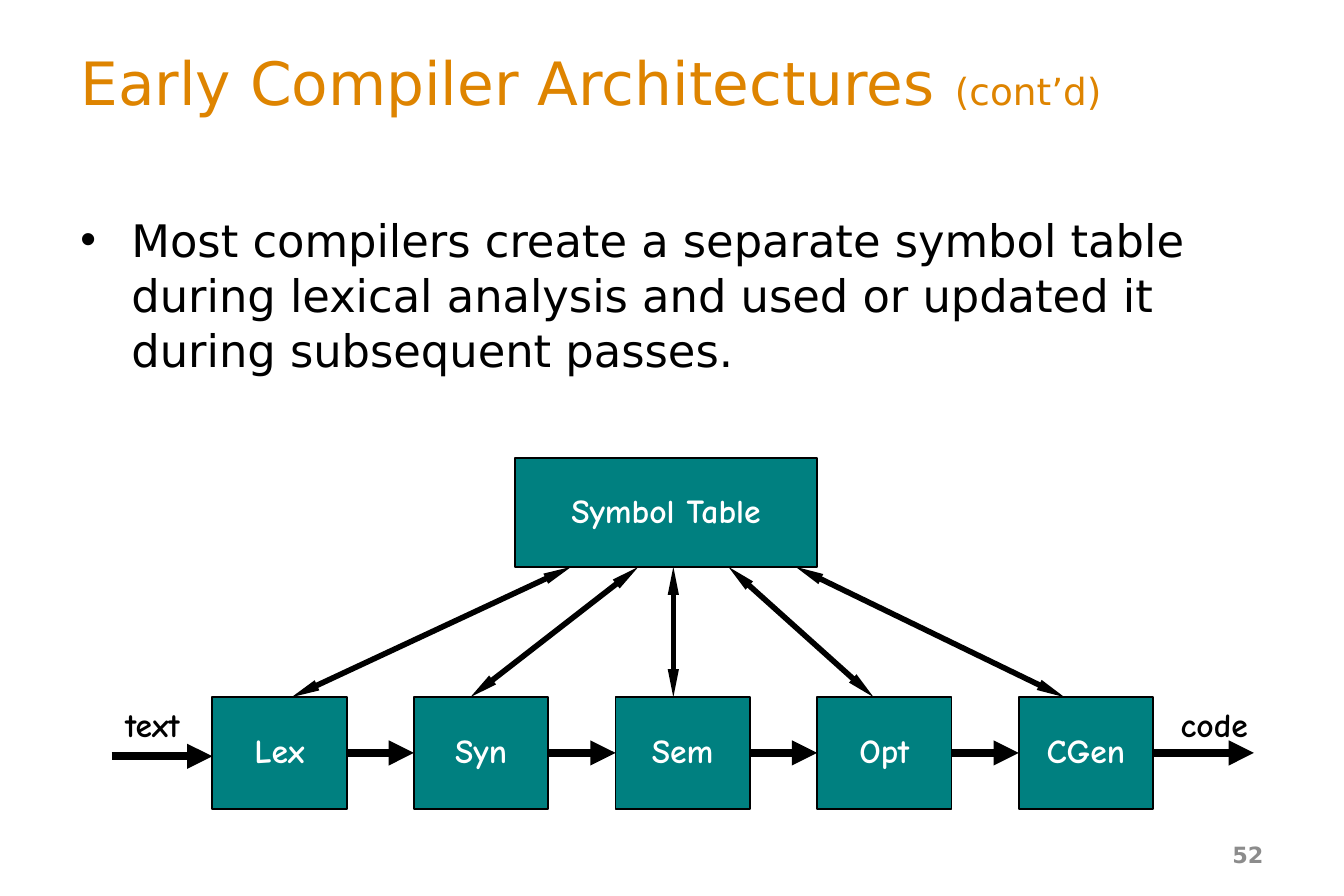
"""Build the slide on early compiler architectures with a shared symbol table."""
from lxml import etree
from pptx import Presentation
from pptx.dml.color import RGBColor
from pptx.enum.shapes import MSO_CONNECTOR, MSO_SHAPE
from pptx.enum.text import MSO_ANCHOR, PP_ALIGN
from pptx.oxml.ns import qn
from pptx.util import Inches, Pt

RECT = MSO_SHAPE.RECTANGLE
STRAIGHT = MSO_CONNECTOR.STRAIGHT
TOP, MIDDLE = MSO_ANCHOR.TOP, MSO_ANCHOR.MIDDLE
LEFT, CENTER, RIGHT = PP_ALIGN.LEFT, PP_ALIGN.CENTER, PP_ALIGN.RIGHT
SIDE_LEFT, SIDE_RIGHT = 1, 3

ORANGE = RGBColor(0xDE, 0x84, 0x00)
TEAL = RGBColor(0x00, 0x80, 0x80)
GRAY = RGBColor(0x8C, 0x8C, 0x8C)
BLACK = RGBColor(0x00, 0x00, 0x00)
WHITE = RGBColor(0xFF, 0xFF, 0xFF)
SANS, COMIC = "DejaVu Sans", "Comic Neue"

TITLE, TITLE_SUFFIX = "Early Compiler Architectures ", "(cont’d)"
BODY = ("Most compilers create a separate symbol table during lexical analysis "
        "and used or updated it during subsequent passes.")
PAGE = "52"
TABLE = "Symbol Table"
PHASES = ["Lex", "Syn", "Sem", "Opt", "CGen"]
LABELS = [("text", 0.77, 0.73), ("code", 8.66, 0.75)]
TABLE_LINKS = [(2.17, 4.25), (3.5, 4.75), (5.01, 5.01), (6.5, 5.42), (7.92, 5.92)]

PHASE_LEFT, PHASE_STEP, PHASE_TOP, PHASE_W, PHASE_H = 1.58, 1.5, 5.19, 1, 0.83
TABLE_TOP, TABLE_H = 3.41, 0.81
FLOW_Y, INPUT_Y, FLOW_LEN = PHASE_TOP + PHASE_H / 2, 5.63, 0.75


def style_run(r, size, font, color, bold=False):
    r.font.size, r.font.name, r.font.bold = Pt(size), font, bold
    r.font.color.rgb = color


def write(sp, text, size, font, color, align=LEFT, anchor=MIDDLE, bold=False, wrap=True):
    tf = sp.text_frame
    tf.word_wrap, tf.vertical_anchor = wrap, anchor
    p = tf.paragraphs[0]
    p.text, p.alignment = text, align
    style_run(p.runs[0], size, font, color, bold)
    return p


def add_text(s, box, *args, **kwargs):
    sp = s.shapes.add_textbox(*map(Inches, box))
    return sp, write(sp, *args, **kwargs)


def diagram_text(sp, text, color):
    p = write(sp, text, 18, COMIC, color, CENTER, bold=True, wrap=False)
    p.line_spacing = 0.9


def add_box(s, box, text):
    sp = s.shapes.add_shape(RECT, *map(Inches, box))
    sp.shadow.inherit = False
    sp.fill.solid()
    sp.fill.fore_color.rgb = TEAL
    sp.line.color.rgb, sp.line.width = BLACK, Pt(1)
    diagram_text(sp, text, WHITE)
    return sp


def add_arrow(s, start, end, width, ends=("tailEnd",), head_w="med", head_len="med"):
    c = s.shapes.add_connector(STRAIGHT, *map(Inches, start + end))
    c.line.color.rgb, c.line.width = BLACK, Pt(width)
    ln = c.line._get_or_add_ln()
    for tag in ends:
        etree.SubElement(ln, qn("a:" + tag), type="triangle", w=head_w, len=head_len)
    etree.SubElement(c._element.spPr, qn("a:effectLst"))
    return c


def add_body(s):
    sp, p = add_text(s, (0.5, 1.11, 9, 4.85), BODY, 24, SANS, BLACK, anchor=TOP)
    sp.text_frame.margin_top = Inches(0.46)
    p.space_before, p.line_spacing = Pt(4.8), 1.03
    pPr = p._p.get_or_add_pPr()
    pPr.set("marL", str(Inches(0.38)))
    pPr.set("indent", str(-Inches(0.38)))
    etree.SubElement(pPr, qn("a:buFont"), typeface="Arial")
    etree.SubElement(pPr, qn("a:buChar"), char="•")


def add_diagram(s):
    add_box(s, (3.83, TABLE_TOP, 2.25, TABLE_H), TABLE)
    boxes = [add_box(s, (PHASE_LEFT + i * PHASE_STEP, PHASE_TOP, PHASE_W, PHASE_H), name)
             for i, name in enumerate(PHASES)]
    for text, left, width in LABELS:
        sp = s.shapes.add_textbox(*map(Inches, (left, 5.22, width, 0.38)))
        diagram_text(sp, text, BLACK)

    add_arrow(s, (PHASE_LEFT - FLOW_LEN, INPUT_Y), (PHASE_LEFT, INPUT_Y), 4.5)
    for i, box in enumerate(boxes):
        right = PHASE_LEFT + i * PHASE_STEP + PHASE_W
        last = i == len(boxes) - 1
        end = right + (FLOW_LEN if last else PHASE_STEP - PHASE_W)
        c = add_arrow(s, (right, FLOW_Y), (end, FLOW_Y), 4.5)
        c.begin_connect(box, SIDE_RIGHT)
        if not last:
            c.end_connect(boxes[i + 1], SIDE_LEFT)
    for phase_x, table_x in TABLE_LINKS:
        add_arrow(s, (phase_x, PHASE_TOP), (table_x, TABLE_TOP + TABLE_H), 3,
                  ("headEnd", "tailEnd"), "sm", "lg")


def main():
    prs = Presentation()
    prs.slide_width, prs.slide_height = Inches(10), Inches(6.67)
    s = prs.slides.add_slide(prs.slide_layouts[6])
    _, p = add_text(s, (0.5, 0.27, 9, 0.68), TITLE, 32, SANS, ORANGE)
    r = p.add_run()
    r.text = TITLE_SUFFIX
    style_run(r, 20, SANS, ORANGE)
    add_body(s)
    add_diagram(s)
    add_text(s, (7.17, 6.18, 2.33, 0.36), PAGE, 12, SANS, GRAY, RIGHT, bold=True)
    prs.save("out.pptx")


if __name__ == "__main__":
    main()
